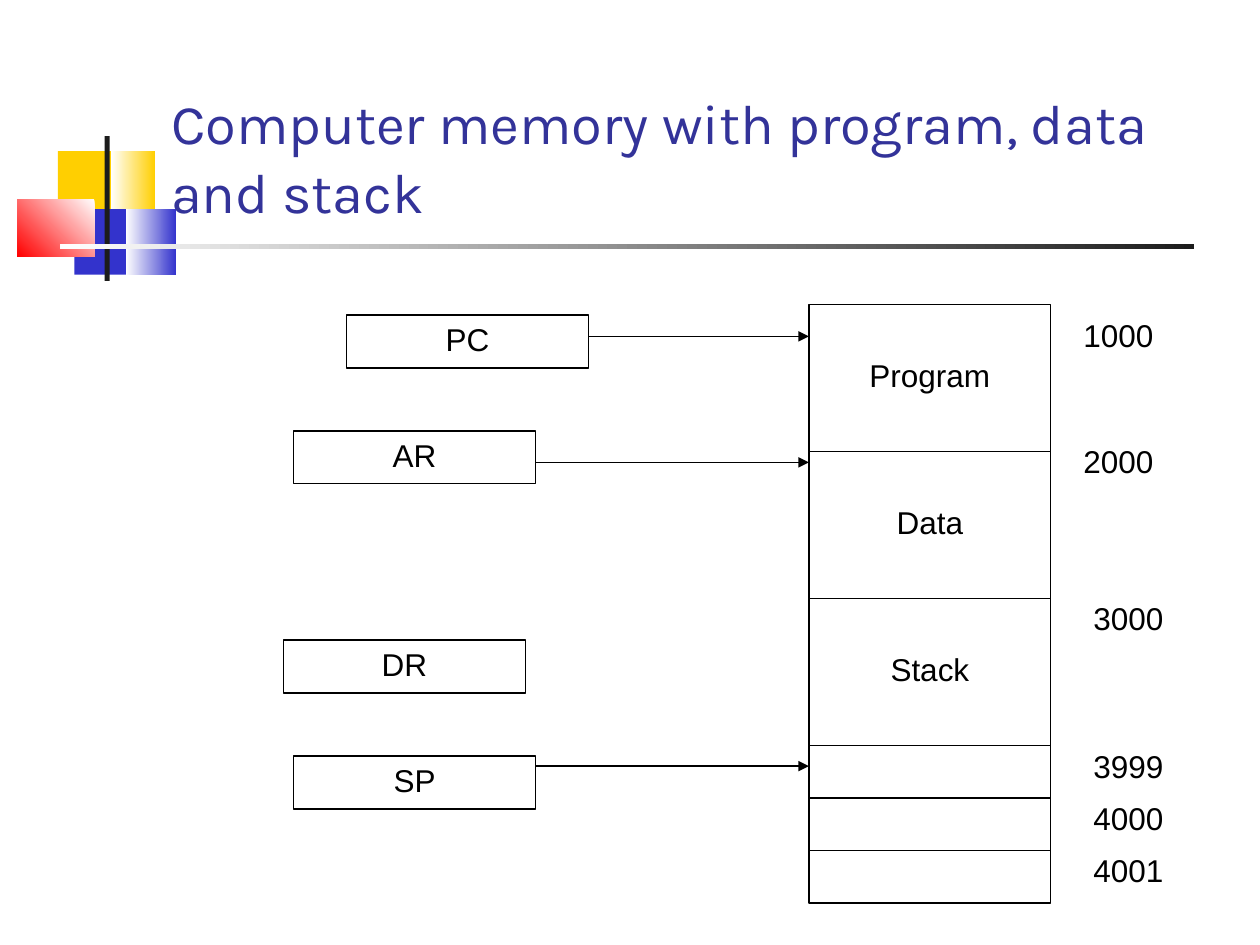
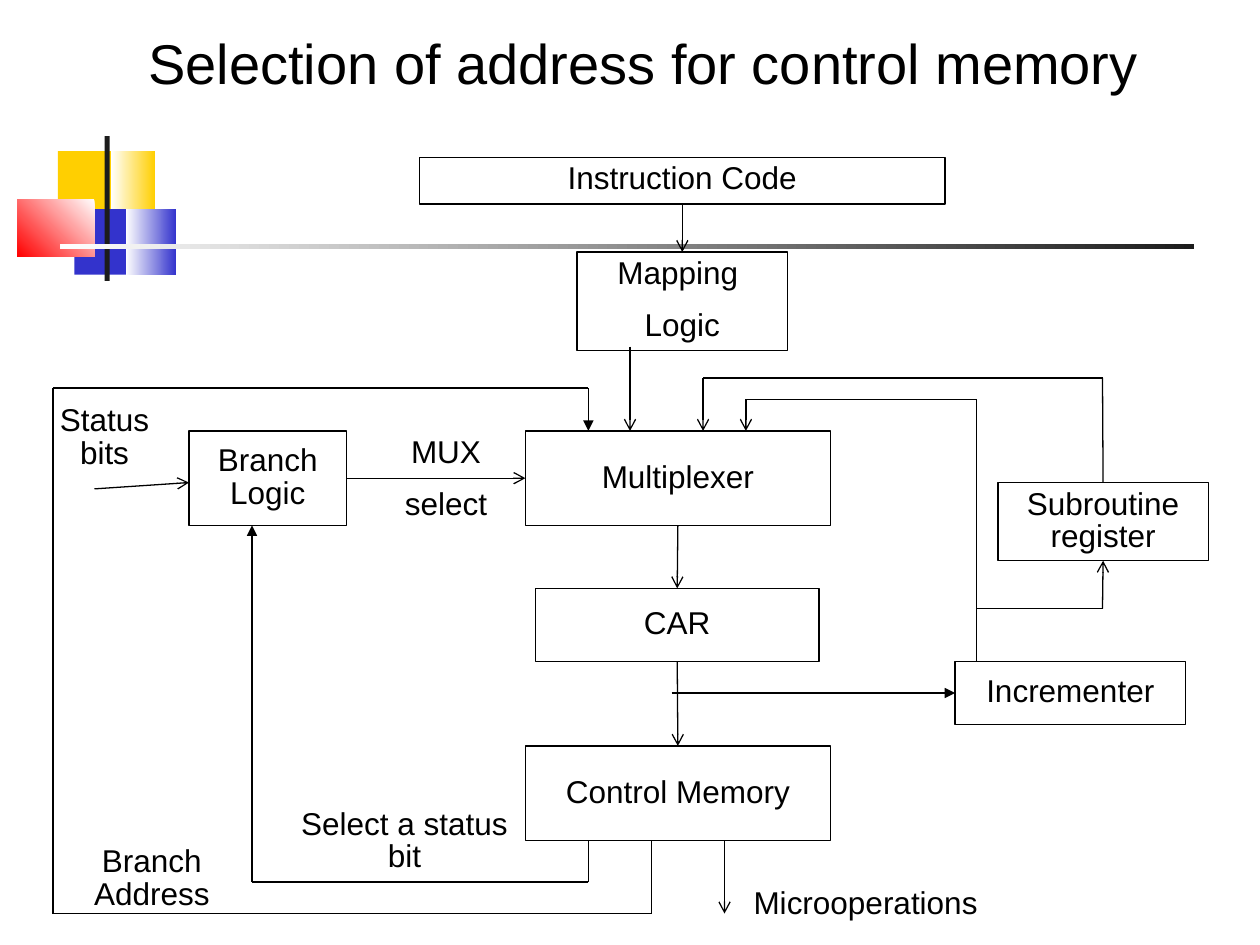
import pptx
import pptx.dml.color
import pptx.enum.shapes
import pptx.enum.text
import pptx.util
from pptx.oxml.ns import qn
from lxml import etree

Inches = pptx.util.Inches
Pt = pptx.util.Pt
ALIGN = pptx.enum.text.PP_ALIGN
ANCHOR = pptx.enum.text.MSO_ANCHOR
RECT = pptx.enum.shapes.MSO_SHAPE.RECTANGLE
STRAIGHT = pptx.enum.shapes.MSO_CONNECTOR.STRAIGHT

COLORS = {
    "ink": "000000",
    "title": "333399",
    "gold": "FFCF01",
    "blue": "3333CC",
    "red": "FF0000",
    "dark": "1C1C1C",
    "white": "FFFFFF",
}
TOP, LEFT, BOTTOM, RIGHT = range(4)  # connection sites of a rectangle


def color(name):
    return pptx.dml.color.RGBColor.from_string(COLORS[name])


def write(shape, text, size=18, font="Arial", ink="ink", align=ALIGN.CENTER,
          anchor=ANCHOR.TOP, spacing=0.87, gap=11.2, wrap=True):
    """Fill a shape with text, one paragraph for each line."""
    frame = shape.text_frame
    frame.word_wrap = wrap
    frame.vertical_anchor = anchor
    for index, line in enumerate(text.split("\n")):
        para = frame.add_paragraph() if index else frame.paragraphs[0]
        para.alignment = align
        para.line_spacing = spacing
        if index:
            para.space_before = Pt(gap)
        run = para.add_run()
        run.text = line
        run.font.size = Pt(size)
        run.font.name = font
        run.font.color.rgb = color(ink)


def rect(slide, *place):
    shape = slide.shapes.add_shape(RECT, *map(Inches, place))
    shape.shadow.inherit = False
    return shape


def label(slide, text, *place, **style):
    write(slide.shapes.add_textbox(*map(Inches, place)), text, **style)


def box(slide, text, *place, anchor=ANCHOR.MIDDLE, **style):
    """Outlined box with centred text."""
    shape = rect(slide, *place)
    shape.fill.background()
    shape.line.color.rgb = color("ink")
    shape.line.width = Pt(0.75)
    if text:
        write(shape, text, anchor=anchor, **style)
    return shape


def block(slide, place, first, last=None, angle=180):
    """Block without outline, in one colour or a gradient."""
    shape = rect(slide, *place)
    shape.line.fill.background()
    if last is None:
        shape.fill.solid()
        shape.fill.fore_color.rgb = color(first)
        return
    shape.fill.gradient()
    shape.fill.gradient_angle = angle
    for stop, name in zip(shape.fill.gradient_stops, (first, last)):
        stop.color.rgb = color(name)


def route(slide, *points, head=None, start=None, end=None):
    """Straight lines from point to point; start and end are (shape, site)."""
    lines = []
    for (x1, y1), (x2, y2) in zip(points, points[1:]):
        line = slide.shapes.add_connector(
            STRAIGHT, Inches(x1), Inches(y1), Inches(x2), Inches(y2))
        line.line.color.rgb = color("ink")
        line.line.width = Pt(0.75)
        etree.SubElement(line._element.spPr, qn("a:effectLst"))
        lines.append(line)
    if start:
        lines[0].begin_connect(*start)
    if end:
        lines[-1].end_connect(*end)
    if head:
        outline = lines[-1].line._get_or_add_ln()
        etree.SubElement(outline, qn("a:tailEnd"), type=head)


def add_page(deck):
    """Blank slide with the shared blocks and rule."""
    slide = deck.slides.add_slide(deck.slide_layouts[6])
    block(slide, (0.46, 1.2, 0.48, 0.52), "gold")
    block(slide, (0.88, 1.2, 0.35, 0.52), "gold", "white")
    block(slide, (0.59, 1.66, 0.46, 0.52), "blue")
    block(slide, (1, 1.66, 0.4, 0.52), "blue", "white")
    block(slide, (0.14, 1.58, 0.61, 0.46), "white", "red", angle=225)
    block(slide, (0.83, 1.08, 0.04, 1.15), "dark")
    block(slide, (0.48, 1.94, 9, 0.04), "dark", "white")
    return slide


def draw_stack(deck):
    slide = add_page(deck)
    label(slide, "Computer memory with program, data and stack",
          1.26, 0.23, 8.52, 1.6, size=32, font="Karla", ink="title",
          align=ALIGN.LEFT, anchor=ANCHOR.BOTTOM, spacing=1.02)

    # Memory column: tall areas, then single words
    top = 29 / 12
    for name in ("Program", "Data", "Stack", "", "", ""):
        height = 14 / 12 if name else 5 / 12
        box(slide, name, 6.42, top, 1.92, height, wrap=False)
        top += height

    # Registers
    for name, left, top in (("PC", 2.75, 2.5), ("AR", 2.33, 3.42),
                            ("DR", 2.25, 5.08), ("SP", 2.33, 6)):
        box(slide, name, left, top, 1.92, 0.42, wrap=False)

    # Addresses
    for text, left, top in (
            ("1000", 8.5, 2.5), ("2000", 8.5, 3.5), ("3000", 8.58, 4.75),
            ("3999", 8.58, 5.92), ("4000", 8.58, 6.33), ("4001", 8.58, 6.75)):
        label(slide, text, left, top, 1, 0.36, align=ALIGN.LEFT)

    # Pointers
    for left, y in ((4.67, 2.67), (4.25, 3.67), (4.25, 6.08)):
        route(slide, (left, y), (6.42, y), head="triangle")


def draw_control(deck):
    slide = add_page(deck)
    label(slide, "Selection of address for control memory",
          1.08, 0.25, 8.5, 0.57, size=32, align=ALIGN.LEFT)

    # Units
    code = box(slide, "Instruction Code", 3.33, 1.25, 4.17, 0.37,
               anchor=ANCHOR.TOP)
    mapping = box(slide, "Mapping \nLogic", 4.58, 2, 1.67, 0.78,
                  anchor=ANCHOR.TOP)
    mux = box(slide, "Multiplexer", 4.17, 3.42, 2.42, 0.75)
    sub = box(slide, "Subroutine register", 7.92, 3.83, 1.67, 0.62,
              anchor=ANCHOR.TOP)
    inc = box(slide, "Incrementer", 7.58, 5.25, 1.83, 0.5)
    car = box(slide, "CAR", 4.25, 4.67, 2.25, 0.58)
    memory = box(slide, "Control Memory", 4.17, 5.92, 2.42, 0.75)
    branch = box(slide, "Branch Logic", 1.5, 3.42, 1.25, 0.75)

    # Labels
    label(slide, "Status bits", 0.33, 3.17, 1, 0.62)
    label(slide, "MUX\nselect", 3.08, 3.42, 0.92, 0.78)
    label(slide, "Select a status bit", 2.25, 6.37, 1.92, 0.62)
    label(slide, "Branch Address", 0.58, 6.67, 1.25, 0.62)
    label(slide, "Microoperations", 5.33, 7, 3.08, 0.36)

    # Main flow
    route(slide, (5.42, 1.62), (5.42, 2), head="arrow",
          start=(code, BOTTOM), end=(mapping, TOP))
    route(slide, (5, 2.75), (5, 3.42), head="arrow")
    route(slide, (5.38, 4.17), (5.38, 4.67), head="arrow",
          start=(mux, BOTTOM), end=(car, TOP))
    route(slide, (5.38, 5.25), (5.38, 5.92), head="arrow",
          start=(car, BOTTOM), end=(memory, TOP))
    route(slide, (5.75, 6.67), (5.75, 7.25), head="arrow")

    # Branch paths
    route(slide, (0.75, 3.88), (1.5, 3.83), head="arrow")
    route(slide, (2.75, 3.79), (4.17, 3.79), head="arrow",
          start=(branch, RIGHT), end=(mux, LEFT))
    route(slide, (4.67, 6.67), (4.67, 7), (2, 7), (2, 4.17),
          head="triangle")
    route(slide, (5.17, 6.67), (5.17, 7.25), (0.42, 7.25), (0.42, 3.08),
          (4.67, 3.08), (4.67, 3.42), head="triangle")

    # Increment and return paths
    route(slide, (5.33, 5.5), (7.58, 5.5), head="triangle",
          end=(inc, LEFT))
    route(slide, (7.75, 5.25), (7.75, 3.17), (5.92, 3.17), (5.92, 3.42),
          head="arrow")
    route(slide, (7.75, 4.83), (8.75, 4.83), (8.75, 4.45), head="arrow",
          end=(sub, BOTTOM))
    route(slide, (8.75, 3.83), (8.75, 3), (5.58, 3), (5.58, 3.42),
          head="arrow", start=(sub, TOP))


def main():
    deck = pptx.Presentation()
    deck.slide_width = Inches(10)
    deck.slide_height = Inches(7.5)
    draw_stack(deck)
    draw_control(deck)
    deck.save("out.pptx")


if __name__ == "__main__":
    main()
